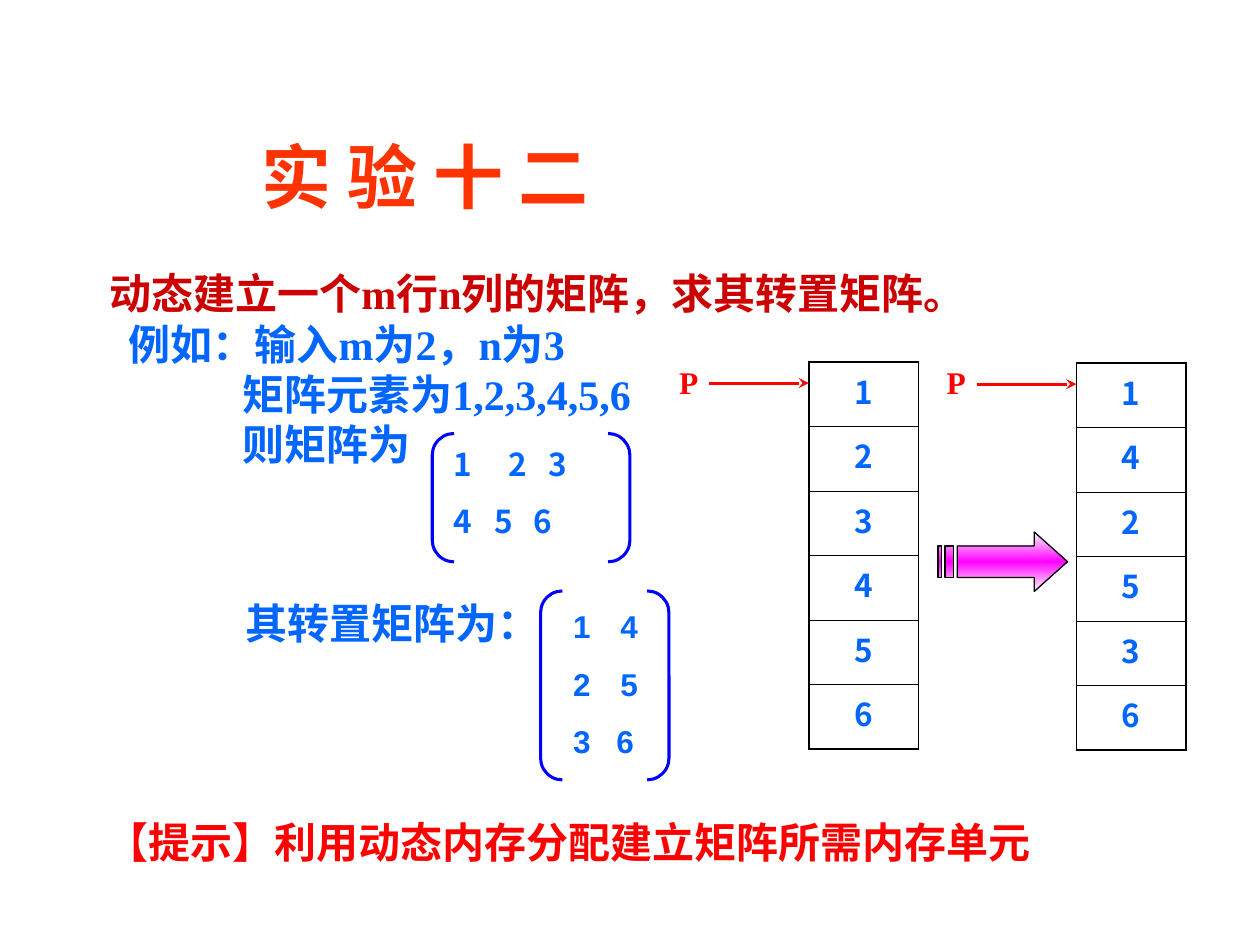
from lxml.etree import SubElement
from pptx import Presentation
from pptx.dml.color import RGBColor
from pptx.enum.shapes import MSO_CONNECTOR as Connector, MSO_SHAPE as Shape
from pptx.enum.text import MSO_ANCHOR as Anchor, PP_ALIGN as Align
from pptx.oxml.ns import qn
from pptx.util import Pt

CJK, SANS, SERIF = "Noto Sans CJK SC", "Arial", "Times New Roman"
BLUE, NAVY, RED, BLACK = "0066FF", "0000FF", "FF0000", "000000"


def color(value):
    return RGBColor.from_string(value)


class Board:
    inset_x, inset_y = 7.2, 3.6
    leading = 1.2

    def __init__(self, slide):
        self.slide = slide

    def style(self, paragraph, size, font, ink):
        paragraph.line_spacing = Pt(size * self.leading)
        paragraph.font.size = Pt(size)
        paragraph.font.bold = True
        paragraph.font.name = font
        paragraph.font.color.rgb = color(ink)
        props = paragraph._p.get_or_add_pPr().find(qn("a:defRPr"))
        props.find(qn("a:latin")).addnext(props.makeelement(qn("a:ea"), typeface=CJK))

    def text(self, x, y, w, h, lines, size=24, font=SANS, ink=BLUE, gap=0):
        frame = self.slide.shapes.add_textbox(Pt(x), Pt(y), Pt(w), Pt(h)).text_frame
        frame.word_wrap = True
        for index, line in enumerate(lines):
            paragraph = frame.paragraphs[0] if index == 0 else frame.add_paragraph()
            paragraph.text = line
            if index:
                paragraph.space_before = Pt(gap)
            self.style(paragraph, size, font, ink)
        return frame.paragraphs

    def indent(self, paragraph, points):
        paragraph._p.get_or_add_pPr().set("marL", str(Pt(points)))

    def matrix(self, x, y, w, h, rows, stops, font):
        lines = ["\t".join(row) for row in rows]
        for paragraph, row_stops in zip(self.text(x, y, w, h, lines, 18, font, gap=11.2), stops):
            tabs = paragraph._p.pPr.makeelement(qn("a:tabLst"))
            paragraph._p.pPr.find(qn("a:defRPr")).addprevious(tabs)
            for stop in row_stops:
                SubElement(tabs, qn("a:tab"), pos=str(Pt(stop)), algn="l")

    def brackets(self, x, y, w, h):
        pair = self.slide.shapes.add_shape(Shape.DOUBLE_BRACKET, Pt(x), Pt(y), Pt(w), Pt(h))
        pair.adjustments[0] = 0.17
        pair.shadow.inherit = False
        pair.fill.background()
        pair.line.color.rgb = color(NAVY)
        pair.line.width = Pt(1.75)

    def border(self, cell, edge, width):
        line = SubElement(cell._tc.get_or_add_tcPr(), qn("a:" + edge), w=str(Pt(width)))
        fill = SubElement(line, qn("a:solidFill"))
        SubElement(fill, qn("a:srgbClr"), val=BLACK)

    def memory(self, x, y, values, w=62.6, row_height=36.83):
        count = len(values)
        table = self.slide.shapes.add_table(
            count, 1, Pt(x), Pt(y), Pt(w), Pt(row_height * count)).table
        table.first_row = table.horz_banding = False
        table.columns[0].width = Pt(w)
        for index, value in enumerate(values):
            table.rows[index].height = Pt(row_height)
            cell = table.cell(index, 0)
            cell.vertical_anchor = Anchor.MIDDLE
            cell.text = value
            paragraph = cell.text_frame.paragraphs[0]
            paragraph.alignment = Align.CENTER
            self.style(paragraph, 18, CJK, BLUE)
            self.border(cell, "lnL", 1.08)
            self.border(cell, "lnR", 1.08)
            self.border(cell, "lnT", 1.08 if index == 0 else 0.45)
            self.border(cell, "lnB", 1.08 if index == count - 1 else 0.45)
            cell.fill.background()

    def pointer(self, start, end, y):
        arrow = self.slide.shapes.add_connector(
            Connector.STRAIGHT, Pt(start), Pt(y), Pt(end), Pt(y))
        arrow.line.color.rgb = color(RED)
        arrow.line.width = Pt(1.75)
        SubElement(arrow.line._get_or_add_ln(), qn("a:tailEnd"), type="stealth")
        SubElement(arrow._element.spPr, qn("a:effectLst"))

    def striped_arrow(self, outlines):
        first, *others = outlines
        builder = self.slide.shapes.build_freeform(*first[0], scale=Pt(1))
        builder.add_line_segments(first[1:])
        for outline in others:
            builder.move_to(*outline[0])
            builder.add_line_segments(outline[1:])
        arrow = builder.convert_to_shape()
        arrow.shadow.inherit = False
        arrow.line.color.rgb = color(BLACK)
        arrow.line.width = Pt(0.75)
        arrow.fill.gradient()
        arrow.fill.gradient_angle = 270
        stops = arrow._element.spPr.find(qn("a:gradFill")).find(qn("a:gsLst"))
        for stop in list(stops):
            stops.remove(stop)
        for position, value in ((0, "FFFFFF"), (50, "FF00FF"), (100, "FFFFFF")):
            stop = SubElement(stops, qn("a:gs"), pos=str(position * 1000))
            SubElement(stop, qn("a:srgbClr"), val=value)


def stripe(left, right, top=312.5, bottom=329.8):
    return [(left, top), (right, top), (right, bottom), (left, bottom), (left, top)]


def main():
    deck = Presentation()
    deck.slide_width, deck.slide_height = Pt(720), Pt(540)
    board = Board(deck.slides.add_slide(deck.slide_layouts[6]))

    heading, task, *example = board.text(19.4, 72.7, 674.6, 228.2, [
        "实 验 十 二",
        "动态建立一个m行n列的矩阵，求其转置矩阵。",
        "例如：输入m为2，n为3",
        "矩阵元素为1,2,3,4,5,6",
        "则矩阵为",
    ], font=SERIF)
    board.style(heading, 40, CJK, "FF3300")
    board.style(task, 24, SERIF, "CC0000")
    task.space_before = Pt(28.8)
    for paragraph, points in zip((heading, task, *example), (123, 36, 47, 112, 112)):
        board.indent(paragraph, points)

    board.matrix(252, 250.6, 102.2, 61.9, ["123", "456"], [(31.4, 54.3), (23.4, 45.7)], CJK)
    board.brackets(247, 247.7, 113, 73.4)
    board.text(133.2, 337.7, 204.5, 36, ["其转置矩阵为："])
    board.brackets(308.9, 337.7, 73.4, 108)
    board.matrix(320.4, 343.4, 62.6, 95, ["14", "25", "36"], [(27,), (27,), (24.8,)], SANS)

    for dx, dy, values in ((0, 0, "123456"), (152.9, 0.6, "142536")):
        board.memory(462.2 + dx, 207 + dy, values)
        board.pointer(405.4 + dx, 462.2 + dx, 218.9 + dy)
        board.text(381 + dx, 203.8, 45.4, 28.8, ["P"], 18, SERIF, RED)

    top, middle, bottom = 303.8, 320.9, 338
    board.striped_arrow([
        [(547, 312.5), (591, 312.5), (591, top), (609.5, middle),
         (591, bottom), (591, 329.8), (547, 329.8), (547, 312.5)],
        stripe(535.7, 537.9),
        stripe(540, 545),
    ])
    board.text(54, 463, 566.6, 36, ["【提示】利用动态内存分配建立矩阵所需内存单元"], ink=RED)
    deck.save("out.pptx")


if __name__ == "__main__":
    main()
